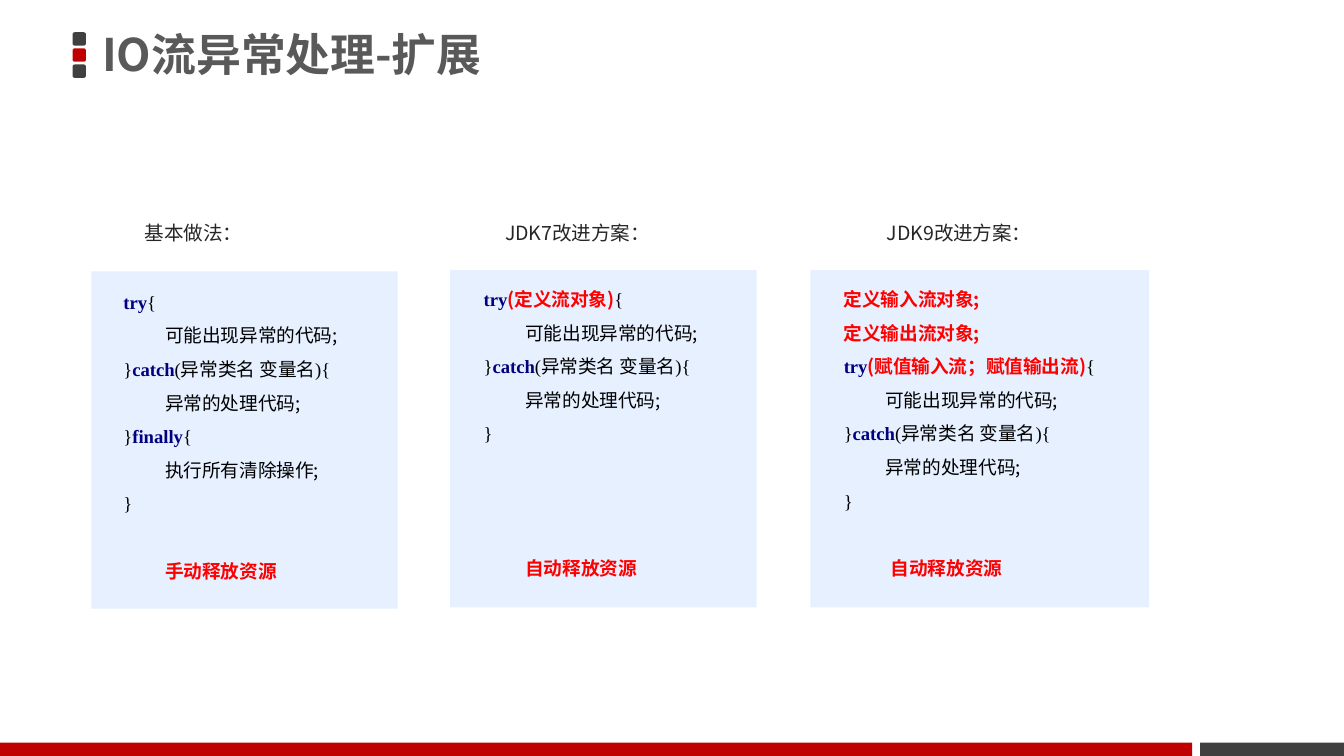
from pptx import Presentation
from pptx.dml.color import RGBColor
from pptx.enum.shapes import MSO_SHAPE
from pptx.enum.text import MSO_ANCHOR
from pptx.util import Inches, Pt
from lxml.etree import SubElement
from pptx.oxml.ns import qn

CJK, LATIN = "Noto Sans CJK SC", "Times New Roman"
THEME = {
    "red": "C00000", "dark": "404040", "panel": "E6F0FF",
    "title": (CJK, 24, "595959", True),
    "heading": (CJK, 10.5, "262626", False),
    "code": (LATIN, 10, "000000", False),
    "keyword": (LATIN, 10, "000080", True),
    "text": (CJK, 10, "000000", False),
    "alert": (CJK, 10, "FF0000", True),
}
SLIDE_WIDTH = 10
SLIDE_HEIGHT = SLIDE_WIDTH * 9 / 16
BAR_HEIGHT = 0.1
LINE_PITCH = 18
CODE_INDENT = 0.31
LABEL_ROW = 8

TITLE = "IO流异常处理-扩展"
TRY_LINE = [("try", "keyword"), ("{", "code")]
RISKY_LINE = [("可能出现异常的代码;", "text")]
CATCH_LINE = [("}", "code"), ("catch", "keyword"), ("(", "code"),
              ("异常类名 变量名", "text"), ("){", "code")]
HANDLER_LINE = [("异常的处理代码;", "text")]
FINALLY_LINE = [("}", "code"), ("finally", "keyword"), ("{", "code")]
CLEANUP_LINE = [("执行所有清除操作;", "text")]
END_LINE = [("}", "code")]
INDENTED = (RISKY_LINE, HANDLER_LINE, CLEANUP_LINE)


def try_with(resources):
    return [TRY_LINE[0], (resources, "alert"), TRY_LINE[1]]


SOLUTIONS = [
    {"heading": "基本做法：", "heading_at": (0.98, 2.65),
     "panel": (0.68, 2.02, 2.28), "code_at": (0.82, 2.03, 2.29),
     "lines": [TRY_LINE, RISKY_LINE, CATCH_LINE, HANDLER_LINE,
               FINALLY_LINE, CLEANUP_LINE, END_LINE],
     "label": "手动释放资源", "label_indent": 0.31},
    {"heading": "JDK7改进方案：", "heading_at": (3.66, 1.42),
     "panel": (3.35, 2.01, 2.28), "code_at": (3.5, 2.01, 2.29),
     "lines": [try_with("(定义流对象)"), RISKY_LINE, CATCH_LINE,
               HANDLER_LINE, END_LINE],
     "label": "自动释放资源", "label_indent": 0.31},
    {"heading": "JDK9改进方案：", "heading_at": (6.5, 1.42),
     "panel": (6.03, 2.01, 2.52), "code_at": (6.18, 2.01, 2.44),
     "lines": [[("定义输入流对象;", "alert")], [("定义输出流对象;", "alert")],
               try_with("(赋值输入流；赋值输出流)"), RISKY_LINE, CATCH_LINE,
               HANDLER_LINE, END_LINE],
     "label": "自动释放资源", "label_indent": 0.35},
]


def add_block(slide, kind, box, color):
    block = slide.shapes.add_shape(kind, *map(Inches, box))
    block.shadow.inherit = False
    block.fill.solid()
    block.fill.fore_color.rgb = RGBColor.from_string(color)
    block.line.fill.background()


def add_text_frame(slide, box):
    frame = slide.shapes.add_textbox(*map(Inches, box)).text_frame
    frame.word_wrap = True
    return frame


def write_line(paragraph, pieces, spacing, indent=0):
    paragraph.line_spacing = spacing
    if indent:
        paragraph._p.get_or_add_pPr().set("marL", str(Inches(indent)))
    for words, style in pieces:
        run = paragraph.add_run()
        run.text = words
        face, size, color, bold = THEME[style]
        run.font.name, run.font.size, run.font.bold = face, Pt(size), bold
        run.font.color.rgb = RGBColor.from_string(color)
        SubElement(run.font._element, qn("a:ea")).set("typeface", face)


def add_solution(slide, solution):
    left, width = solution["heading_at"]
    heading = add_text_frame(slide, (left, 1.5, width, 0.37))
    write_line(heading.paragraphs[0], [(solution["heading"], "heading")], Pt(19.5))

    left, top, width = solution["panel"]
    add_block(slide, MSO_SHAPE.RECTANGLE, (left, top, width, 2.51), THEME["panel"])

    code = add_text_frame(slide, (*solution["code_at"], 2.49))
    lines = solution["lines"]
    for row, pieces in enumerate(lines):
        paragraph = code.add_paragraph() if row else code.paragraphs[0]
        indent = CODE_INDENT if pieces in INDENTED else 0
        write_line(paragraph, pieces, Pt(LINE_PITCH), indent)
    label = code.add_paragraph()
    label.space_before = Pt((LABEL_ROW - len(lines)) * LINE_PITCH)
    write_line(label, [(solution["label"], "alert")], Pt(LINE_PITCH),
               solution["label_indent"])


def main():
    deck = Presentation()
    deck.slide_width, deck.slide_height = Inches(SLIDE_WIDTH), Inches(SLIDE_HEIGHT)
    slide = deck.slides.add_slide(deck.slide_layouts[6])

    for row, color in enumerate(("dark", "red", "dark")):
        add_block(slide, MSO_SHAPE.ROUNDED_RECTANGLE,
                  (0.54, 0.24 + 0.12 * row, 0.1, 0.1), THEME[color])
    for left, width, color in ((8.93, 1.07, "dark"), (0, 8.87, "red")):
        add_block(slide, MSO_SHAPE.RECTANGLE,
                  (left, SLIDE_HEIGHT - BAR_HEIGHT, width, BAR_HEIGHT), THEME[color])

    title = add_text_frame(slide, (0.69, -0.02, 5.89, 0.89))
    title.vertical_anchor = MSO_ANCHOR.MIDDLE
    title.margin_left = title.margin_right = Inches(0.07)
    title.margin_top = title.margin_bottom = Inches(0.04)
    write_line(title.paragraphs[0], [(TITLE, "title")], 0.9)

    for solution in SOLUTIONS:
        add_solution(slide, solution)
    deck.save("out.pptx")


if __name__ == "__main__":
    main()
